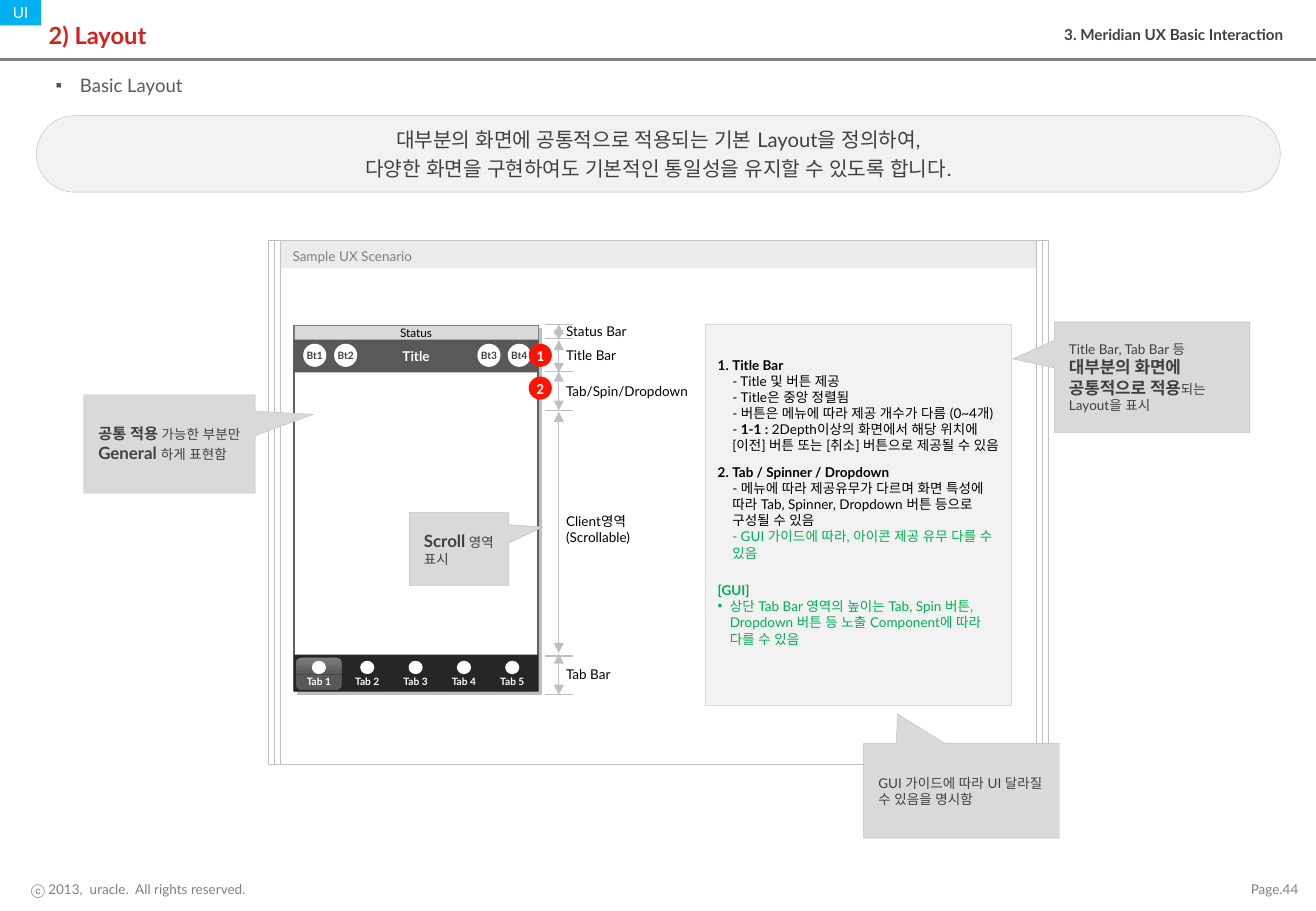
from copy import deepcopy

from lxml.etree import SubElement
from pptx import Presentation
from pptx.dml.color import RGBColor
from pptx.enum.shapes import MSO_CONNECTOR, MSO_SHAPE
from pptx.enum.text import MSO_ANCHOR, PP_ALIGN
from pptx.oxml.ns import qn
from pptx.util import Pt

DARK, GRAY, SILVER, WHITE, GREEN = "404040", "808080", "BFBFBF", "FFFFFF", "00B050"
LEFT, CENTER, RIGHT = PP_ALIGN.LEFT, PP_ALIGN.CENTER, PP_ALIGN.RIGHT
PHONE_LEFT, PHONE_WIDTH = 174.24, 144.72
DIMENSION_X = 331.2


def rgb(value):
    return RGBColor.from_string(value)


def set_all(target, values):
    for name, value in values.items():
        setattr(target, name, value)


def add_xml(parent, tag, **attributes):
    return SubElement(parent, qn(tag), attributes)


def add_run(paragraph, text, size=8, color=DARK, bold=False, name="Lato"):
    """Add text to a paragraph, turning newlines into line breaks."""
    for index, piece in enumerate(text.split("\n")):
        if index:
            paragraph.add_line_break()
            line_break = paragraph._p[-1]
            line_break.append(deepcopy(run._r.rPr))
        run = paragraph.add_run()
        run.text = piece
        set_all(run.font, {"size": Pt(size), "bold": bold, "name": name})
        run.font.color.rgb = rgb(color)
        add_xml(run._r.rPr, "a:ea", typeface=name)


def set_bullet(paragraph, indent, character=None, number=None):
    properties = paragraph._p.get_or_add_pPr()
    properties.set("marL", str(Pt(indent)))
    properties.set("indent", str(-Pt(indent)))
    if character:
        add_xml(properties, "a:buFont", typeface="Arial")
        add_xml(properties, "a:buChar", char=character)
    else:
        add_xml(properties, "a:buAutoNum", type="arabicPeriod", startAt=str(number))


def write(shape, paragraphs, align=LEFT, anchor=MSO_ANCHOR.MIDDLE, insets=(7.2, 3.6, 7.2, 3.6),
          wrap=True, spacing=None, **font):
    """Fill a shape; a paragraph is a string or a dict of runs, bullet and format."""
    frame = shape.text_frame
    left, top, right, bottom = map(Pt, insets)
    set_all(frame, {"margin_left": left, "margin_top": top, "margin_right": right,
                    "margin_bottom": bottom, "vertical_anchor": anchor, "word_wrap": wrap})
    for index, content in enumerate(paragraphs):
        if isinstance(content, str):
            content = {"runs": [(content, {})]}
        paragraph = frame.add_paragraph() if index else frame.paragraphs[0]
        set_all(paragraph, {"alignment": align, "line_spacing": spacing, **content.get("format", {})})
        if "bullet" in content:
            set_bullet(paragraph, **content["bullet"])
        for text, changes in content["runs"]:
            add_run(paragraph, text, **{**font, **changes})


def add_text(slide, box, paragraphs, **options):
    shape = slide.shapes.add_textbox(*map(Pt, box))
    write(shape, paragraphs, **options)


def add_block(slide, kind, box, fill=None, line=None, width=0.25, adjustments=()):
    shape = slide.shapes.add_shape(kind, *map(Pt, box))
    shape.shadow.inherit = False
    if fill:
        shape.fill.solid()
        shape.fill.fore_color.rgb = rgb(fill)
    else:
        shape.fill.background()
    if line:
        shape.line.color.rgb = rgb(line)
        shape.line.width = Pt(width)
    else:
        shape.line.fill.background()
    for index, value in enumerate(adjustments):
        shape.adjustments[index] = value
    return shape


def add_line(slide, start, end, arrows=False):
    connector = slide.shapes.add_connector(MSO_CONNECTOR.STRAIGHT, *map(Pt, start + end))
    connector.line.color.rgb = rgb(SILVER)
    connector.line.width = Pt(0.75)
    if arrows:
        for tag in ("a:headEnd", "a:tailEnd"):
            add_xml(connector.line._ln, tag, type="triangle")
    add_xml(connector._element.spPr, "a:effectLst")


def add_circle(slide, left, top, label, fill, **font):
    circle = add_block(slide, MSO_SHAPE.OVAL, (left, top, 13.68, 13.68), fill)
    write(circle, [label], align=CENTER, insets=(0, 0, 0, 0), wrap=False, bold=True, **font)


def add_callout(slide, box, tip, runs):
    callout = add_block(slide, MSO_SHAPE.RECTANGULAR_CALLOUT, box, "D9D9D9", SILVER, adjustments=tip)
    write(callout, [{"runs": runs}], insets=(8.64, 3.6, 8.64, 3.6))


def add_header_and_footer(slide):
    title = slide.shapes.title
    set_all(title, {"left": Pt(21.6), "top": Pt(5.76), "width": Pt(743.76), "height": Pt(29.52)})
    write(title, ["2) Layout"], size=14, color="D5211D", bold=True)
    add_block(slide, MSO_SHAPE.RECTANGLE, (0, 34.56, 780, 1.6), GRAY)
    tag = add_block(slide, MSO_SHAPE.RECTANGLE, (0, 0, 24.48, 15.12), "00B0F0")
    write(tag, ["UI"], align=CENTER, insets=(0, 0, 0, 0), wrap=False, size=9, color=WHITE)
    add_text(slide, (495.36, 11.52, 272.16, 20.16), ["3. Meridian UX Basic Interaction"],
             align=RIGHT, anchor=MSO_ANCHOR.TOP, size=9, bold=True)
    add_text(slide, (25.92, 40.32, 676, 20.16),
             [{"runs": [("Basic Layout", {})], "bullet": {"indent": 14.4, "character": "▪"}}],
             size=11, color="595959")
    banner = add_block(slide, MSO_SHAPE.ROUNDED_RECTANGLE, (21.6, 68.6, 737.28, 45.36),
                       "F2F2F2", SILVER, adjustments=[0.5])
    write(banner, ["대부분의 화면에 공통적으로 적용되는 기본 Layout을 정의하여,",
                   {"runs": [("다양한 화면을 구현하여도 기본적인 통일성을 유지할 수 있도록 합니다.", {})],
                    "format": {"space_before": Pt(2.4)}}], align=CENTER, size=12)
    for box, text in (((4.3, 519.12, 148, 15.84), "ⓒ 2013,  uracle.  All rights reserved."),
                      ((732.96, 519.12, 43.2, 15.84), "Page.44")):
        add_text(slide, box, [text], align=RIGHT, insets=(6.48, 2.88, 6.48, 2.88), wrap=False, color=GRAY)


def add_scenario_frame(slide):
    for step in range(3):
        margin = 3.6 * step
        add_block(slide, MSO_SHAPE.RECTANGLE,
                  (166.32 - margin, 142.56, 447.84 + 2 * margin, 310.32), line=SILVER)
    heading = add_block(slide, MSO_SHAPE.RECTANGLE, (166.32, 142.56, 447.84, 16.56), "D9D9D9")
    add_xml(heading._element.spPr.find(qn("a:solidFill"))[0], "a:alpha", val="50000")
    write(heading, ["Sample UX Scenario"], spacing=1.2, color=GRAY)


def add_phone(slide):
    screen = add_block(slide, MSO_SHAPE.RECTANGLE, (PHONE_LEFT, 192.96, PHONE_WIDTH, 216.72),
                       WHITE, "606060", 1)
    shadow = add_xml(screen._element.spPr.find(qn("a:effectLst")), "a:outerShdw",
                     blurRad="0", dist=str(Pt(3)), dir="2700000", algn="tl", rotWithShape="0")
    add_xml(shadow, "a:srgbClr", val=SILVER)
    status = add_block(slide, MSO_SHAPE.RECTANGLE, (PHONE_LEFT, 192.96, PHONE_WIDTH, 8.64),
                       "D9D9D9", GRAY, 0.5)
    write(status, ["Status"], align=CENTER, wrap=False, size=7, color="000000")
    title_bar = add_block(slide, MSO_SHAPE.RECTANGLE, (PHONE_LEFT, 201.3, PHONE_WIDTH, 19.44), "595959")
    write(title_bar, ["Title"], align=CENTER, color=WHITE, bold=True)
    for number, left in enumerate((179.7, 198, 282.96, 300.96), 1):
        add_circle(slide, left, 203.76, f"Bt{number}", WHITE, size=6)

    add_block(slide, MSO_SHAPE.RECTANGLE, (PHONE_LEFT, 388.08, PHONE_WIDTH, 21.6), "262626")
    for index in range(5):
        left = 174.96 + 28.65 * index
        tab = add_block(slide, MSO_SHAPE.ROUNDED_RECTANGLE, (left, 389.5, 28.08, 19.8),
                        "262626", "262626", 0.75)
        if index == 0:
            highlight(tab)
        write(tab, [f"Tab {index + 1}"], align=CENTER, anchor=MSO_ANCHOR.BOTTOM,
              insets=(0, 1.44, 0, 0.72), size=6, color=WHITE, bold=True)
        add_block(slide, MSO_SHAPE.OVAL, (left + 9.9, 391.68, 8.4, 7.92), WHITE)
    for number, top in enumerate((203.76, 223.2), 1):
        add_circle(slide, 313.4, top, str(number), "FF1300", size=9, color=WHITE, name="Calibri")


def highlight(tab):
    """Give the selected tab a glossy vertical gradient."""
    tab.fill.gradient()
    tab.fill.gradient_angle = 270
    stops = tab._element.spPr.find(qn("a:gradFill")).find(qn("a:gsLst"))
    for stop in list(stops):
        stops.remove(stop)
    for position, color in ((0, GRAY), (50, "595959"), (53, DARK), (53, "595959")):
        add_xml(add_xml(stops, "a:gs", pos=str(position * 1000)), "a:srgbClr", val=color)


def add_dimensions(slide):
    for y in (192.24, 200.88, 220.32, 243.36, 388.8, 411.84):
        add_line(slide, (323.28, y), (339.84, y))
    for top, bottom, label_top, label in (
            (192.24, 201.6, 191.52, ["Status Bar"]), (201.6, 221.04, 205.92, ["Title Bar"]),
            (220.32, 243.36, 226.8, ["Tab/Spin/Dropdown"]),
            (244.08, 387, 303.84, ["Client영역", "(Scrollable)"]),
            (387.36, 411.84, 394.56, ["Tab Bar"])):
        add_line(slide, (DIMENSION_X, top), (DIMENSION_X, bottom), arrows=True)
        add_text(slide, (335.52, label_top, 80, 9.6 * len(label)), label,
                 anchor=MSO_ANCHOR.TOP, insets=(0, 0, 0, 0), color="000000")


def add_description(slide):
    panel = add_block(slide, MSO_SHAPE.RECTANGLE, (418.32, 192.24, 181.44, 226.08),
                      "F2F2F2", "D9D9D9", 0.75)
    strong, green = {"bold": True}, {"color": GREEN}
    title_bar = [("Title Bar\n", strong),
                 ("- Title 및 버튼 제공\n- Title은 중앙 정렬됨\n"
                  "- 버튼은 메뉴에 따라 제공 개수가 다름 (0~4개)\n- ", {}), ("1-1 :", strong),
                 (" 2Depth이상의 화면에서 해당 위치에 [이전] 버튼 또는 [취소] 버튼으로 제공될 수 있음", {})]
    tabs = [("Tab / Spinner / Dropdown\n", strong),
            ("- 메뉴에 따라 제공유무가 다르며 화면 특성에 따라 Tab, Spinner, Dropdown 버튼 등으로 구성될 수 있음\n", {}),
            ("- GUI 가이드에 따라, 아이콘 제공 유무 다를 수 있음", green)]
    guide = "상단 Tab Bar 영역의 높이는 Tab, Spin 버튼, Dropdown 버튼 등 노출 Component에 따라 다를 수 있음"
    write(panel, [
        {"runs": title_bar, "bullet": {"indent": 8.64, "number": 1}},
        {"runs": tabs, "bullet": {"indent": 8.64, "number": 2}, "format": {"space_before": Pt(6)}},
        {"runs": [("[GUI]", {**strong, **green})], "format": {"space_before": Pt(12.6)}},
        {"runs": [(guide, green)], "bullet": {"indent": 7.2, "character": "•"}},
    ], anchor=MSO_ANCHOR.TOP, insets=(7.2, 19.2, 7.2, 3.6), color="000000")


def add_callouts(slide):
    large = {"size": 10, "bold": True}
    add_callout(slide, (624.96, 190.8, 115.92, 65.52), (-0.714, -0.165),
                [("Title Bar, Tab Bar 등 ", {}), ("대부분의 화면에 공통적으로 적용", large), ("되는 Layout을 표시", {})])
    add_callout(slide, (242.64, 303.84, 59.04, 43.2), (0.84, -0.301), [("Scroll", large), (" 영역 표시", {})])
    add_callout(slide, (49.68, 234, 101.52, 58.32), (0.84, -0.301),
                [("공통 적용 ", {"size": 9, "bold": True}), ("가능한 부분만 ", {}),
                 ("General ", large), ("하게 표현함", {})])
    add_callout(slide, (511.92, 440.64, 115.92, 56.16), (-0.327, -0.81),
                [("GUI 가이드에 따라 UI 달라질 수 있음을 명시함", {})])


def main():
    presentation = Presentation()
    set_all(presentation, {"slide_width": Pt(780), "slide_height": Pt(540)})
    slide = presentation.slides.add_slide(presentation.slide_layouts[5])
    for add_part in (add_header_and_footer, add_scenario_frame, add_dimensions, add_phone,
                     add_description, add_callouts):
        add_part(slide)
    presentation.save("out.pptx")


if __name__ == "__main__":
    main()
